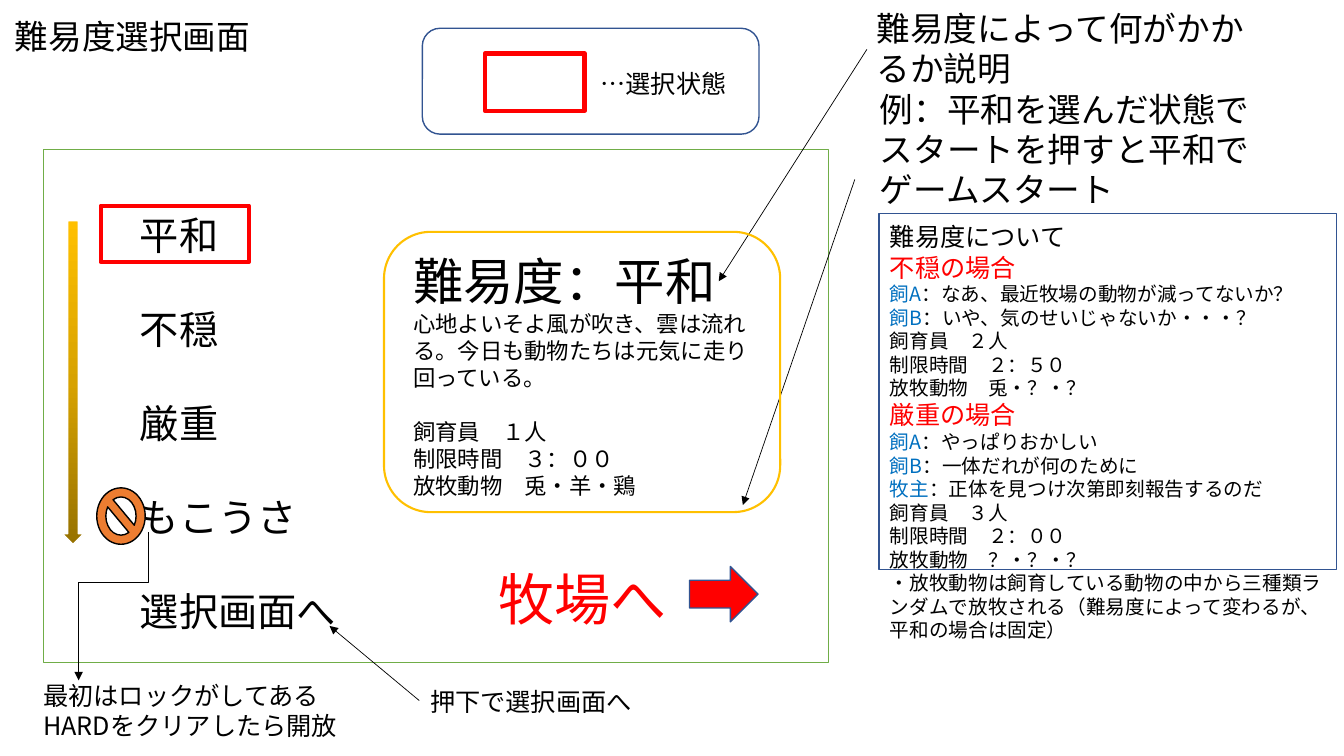
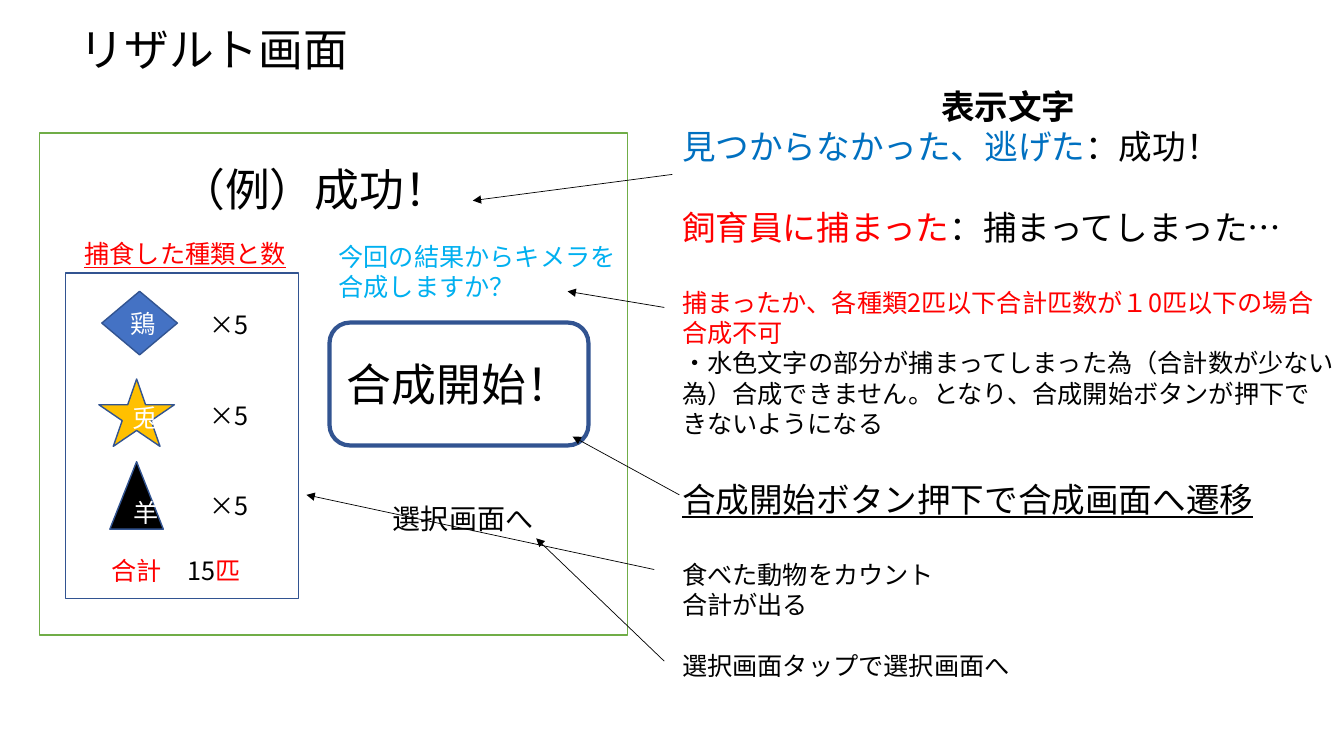
"""Build the difficulty selection and result screen slides of a game plan."""
from copy import deepcopy
from dataclasses import dataclass, field

from lxml.etree import SubElement
from pptx import Presentation
from pptx.dml.color import RGBColor
from pptx.enum.shapes import MSO_CONNECTOR, MSO_SHAPE
from pptx.enum.text import MSO_ANCHOR, MSO_AUTO_SIZE, PP_ALIGN
from pptx.oxml.ns import qn
from pptx.util import Pt

DIFFICULTY_RULES = [
    ("難易度について", dict(size="body")),
    ("不穏の場合", dict(size="body", color="red")),
    [("飼A", "blue"), ("：なあ、最近牧場の動物が減ってないか？", "black")],
    [("飼B", "blue"), ("：いや、気のせいじゃないか・・・？", "black")],
    "飼育員　２人",
    "制限時間　２：５０",
    "放牧動物　兎・？・？",
    ("厳重の場合", dict(size="body", color="red")),
    [("飼A", "blue"), ("：やっぱりおかしい", "black")],
    [("飼B", "blue"), ("：一体だれが何のために", "black")],
    [("牧主", "blue"), ("：正体を見つけ次第即刻報告するのだ", "black")],
    "飼育員　３人",
    "制限時間　２：００",
    "放牧動物　？・？・？",
    "・放牧動物は飼育している動物の中から三種類ランダムで放牧される（難易度によって変わるが、",
    "平和の場合は固定）",
]

PEACE_DETAIL = [
    ("難易度：平和", dict(size="hero")),
    "心地よいそよ風が吹き、雲は流れる。今日も動物たちは元気に走り回っている。",
    ("飼育員　１人", dict(gap=19.2)),
    "制限時間　３：００",
    "放牧動物　兎・羊・鶏",
]

RESULT_MESSAGES = [
    ("表示文字", dict(size="section", bold=True, align="center")),
    ([("見つからなかった、逃げた", "blue"), ("：成功！", "black")], dict(size="section")),
    ([("飼育員に捕まった", "red"), ("：捕まってしまった…", "black")],
     dict(size="section", gap=28.8)),
    ("捕まったか、各種類2匹以下合計匹数が１0匹以下の場合", dict(color="red", gap=28.8)),
    ("合成不可", dict(color="red")),
    "・水色文字の部分が捕まってしまった為（合計数が少ない為）合成できません。"
    "となり、合成開始ボタンが押下できないようになる",
    ("合成開始ボタン押下で合成画面へ遷移", dict(size="section", underline=True, gap=28.8)),
    ("食べた動物をカウント", dict(gap=28.8)),
    "合計が出る",
    ("選択画面タップで選択画面へ", dict(gap=21.6)),
]

MENU = ["平和", "不穏", "厳重", "もこうさ", "選択画面へ"]
LOCK_NOTE = ["最初はロックがしてある", "HARDをクリアしたら開放"]
COUNTS = ["×5"] * 3
TOTAL = [[("合計　", "red"), ("15", "black"), ("匹", "red")]]

DIFFICULTY_SCREEN = [
    ("text", (3.6, 7.9, 188, 36), dict(lines=["難易度選択画面"], size="section")),
    ("shape", (31, 106.6, 560.9, 366.5),
     dict(preset="FLOWCHART_PROCESS", fill="white", line="green")),
    ("text", (92.9, 147.6, 251.3, 312.5), dict(lines=MENU, size="menu", gap=33.6)),
    ("text", (288, 175, 266.4, 186.5), dict(lines=PEACE_DETAIL, size="detail")),
    ("text", (619.2, 2.2, 287.3, 65.5),
     dict(lines=["難易度によって何がかかるか説明"], size="section")),
    ("text", (621.4, 59.8, 287.3, 94.3),
     dict(lines=["例：平和を選んだ状態でスタートを押すと平和でゲームスタート"], size="section")),
    ("arrow", (610.6, 128.2, 530.6, 360.7), {}),
    ("arrow", (619.2, 35.3, 513.4, 200.9), {}),
    ("arrow", (28.1, 408.2, 133.9, 457.9), dict(bend=34000)),
    ("text", (23.8, 482.4, 242.6, 51.1), dict(lines=LOCK_NOTE)),
    ("shape", (69.1, 348.5, 34.6, 40.3),
     dict(preset="NO_SYMBOL", fill="orange", line="black")),
    ("shape", (72, 146.9, 105.8, 40.3), dict(preset="RECTANGLE", line="red", weight=3)),
    ("shape", (346.3, 38.2, 71.3, 41), dict(preset="RECTANGLE", line="red", weight=3)),
    ("text", (421.9, 45.4, 128.9, 28.8), dict(lines=["…選択状態"])),
    ("shape", (301.7, 20.2, 240.5, 75.6), dict(preset="ROUNDED_RECTANGLE", line="navy")),
    ("text", (349.2, 399.6, 188, 55.4), dict(lines=["牧場へ"], size="action", color="red")),
    ("shape", (492.5, 404.6, 49, 39.6), dict(preset="RIGHT_ARROW", fill="red", line="navy")),
    ("text", (628.6, 154.8, 328.3, 326.9), dict(lines=DIFFICULTY_RULES, size="small")),
    ("shape", (627.8, 152.6, 326.9, 254.2), dict(preset="RECTANGLE", line="navy")),
    ("shape", (274.3, 165.6, 283, 200.2),
     dict(preset="ROUNDED_RECTANGLE", line="gold", weight=1.5)),
    ("text", (300.2, 486.7, 162.7, 28.8), dict(lines=["押下で選択画面へ"])),
    ("arrow", (299.5, 500.4, 235.4, 447.1), {}),
    ("shape", (44.6, 157.7, 15.1, 231.1),
     dict(preset="DOWN_ARROW", fill=("bronze", "amber", "gold"), line="white")),
]

RESULT_SCREEN = [
    ("text", (49.7, 12.2, 275.8, 46.1), dict(lines=["リザルト画面"], size="title")),
    ("shape", (28.1, 95, 420.5, 358.6), dict(preset="RECTANGLE", line="green", weight=0.75)),
    ("shape", (46.8, 195.1, 166.3, 232.6),
     dict(preset="RECTANGLE", fill="white", line="navy")),
    ("shape", (70.6, 270.7, 54, 48.2),
     dict(preset="STAR_5_POINT", fill="gold", line="navy", lines=["兎"], color="white")),
    ("shape", (72.7, 208.1, 54, 45.4),
     dict(preset="DIAMOND", fill="royal", line="navy", lines=["鶏"], color="white")),
    ("shape", (78.5, 329.8, 38.2, 48.2),
     dict(preset="ISOSCELES_TRIANGLE", fill="black", line="navy", lines=["羊"],
          color="white")),
    ("text", (142.6, 217.4, 85, 159.8), dict(lines=COUNTS, gap=43.2)),
    ("text", (480.2, 57.6, 480.2, 436.3), dict(lines=RESULT_MESSAGES)),
    ("text", (257, 355, 147.6, 31.7),
     dict(lines=["選択画面へ"], size="link", align="center")),
    ("arrow", (474.5, 219.6, 405.4, 208.1), {}),
    ("arrow", (467.3, 406.8, 218.9, 353.5), {}),
    ("text", (121.7, 112.3, 216.7, 46.1), dict(lines=["（例）成功！"], size="title")),
    ("arrow", (480.2, 124.6, 337.7, 143.3), {}),
    ("text", (53.3, 167, 162.7, 28.8),
     dict(lines=["捕食した種類と数"], color="red", underline=True)),
    ("text", (234.7, 168.5, 229.7, 51.1),
     dict(lines=["今回の結果からキメラを合成しますか？"], color="sky")),
    ("shape", (235.4, 230.4, 185, 87.8),
     dict(preset="ROUNDED_RECTANGLE", fill="white", line="navy", weight=3,
          lines=["合成開始！"], size="title")),
    ("text", (72.7, 393.1, 138.2, 28.8), dict(lines=TOTAL)),
    ("arrow", (474.5, 472.3, 383, 384.5), {}),
    ("arrow", (485.3, 353.5, 409, 311.8), {}),
]


@dataclass(frozen=True)
class Theme:
    font: str = "Noto Sans CJK JP"
    leading: float = 1.2
    arrow_weight: float = 0.5
    sizes: dict = field(default_factory=lambda: dict(
        action=40, hero=36, title=32, menu=28, section=24, link=20, body=18,
        detail=16, small=14))
    colors: dict = field(default_factory=lambda: dict(
        black="000000", white="FFFFFF", red="FF0000", blue="0070C0", sky="00B0F0",
        navy="325491", royal="4472C4", green="70AD47", orange="ED7D31",
        gold="FFC000", amber="D7A200", bronze="977200"))

    def rgb(self, name):
        return RGBColor.from_string(self.colors[name])


THEME = Theme()


def write(frame, lines, **defaults):
    """Fill a text frame; each line may override the format given for all."""
    frame.word_wrap = True
    for index, line in enumerate(lines):
        runs, override = line if isinstance(line, tuple) else (line, {})
        look = dict(size="body", color="black", bold=False, underline=False,
                    align="left", gap=0) | defaults | override
        paragraph = frame.paragraphs[0] if index == 0 else frame.add_paragraph()
        paragraph.alignment = PP_ALIGN[look["align"].upper()]
        size = THEME.sizes[look["size"]]
        paragraph.line_spacing = Pt(size * THEME.leading)
        paragraph.space_before = Pt(look["gap"] if index else 0)
        for words, color in [(runs, look["color"])] if isinstance(runs, str) else runs:
            run = paragraph.add_run()
            run.text = words
            font = run.font
            font.name, font.size = THEME.font, Pt(size)
            font.bold, font.underline = look["bold"], look["underline"]
            font.color.rgb = THEME.rgb(color)
            SubElement(run._r.get_or_add_rPr(), qn("a:ea")).set("typeface", THEME.font)


def add_text(slide, box, lines, **look):
    frame = slide.shapes.add_textbox(*map(Pt, box)).text_frame
    write(frame, lines, **look)
    frame.auto_size = MSO_AUTO_SIZE.SHAPE_TO_FIT_TEXT


def paint_gradient(shape, names):
    """Spread the named colours evenly from the bottom to the top."""
    shape.fill.gradient()
    shape.fill.gradient_angle = 90
    stops = shape._element.spPr.find(".//" + qn("a:gsLst"))
    for _ in names[2:]:
        stops.insert(1, deepcopy(stops[0]))
    for index, (stop, name) in enumerate(zip(shape.fill.gradient_stops, names)):
        stop.position = index / (len(names) - 1)
        stop.color.rgb = THEME.rgb(name)


def add_shape(slide, box, preset, line, fill=None, weight=1, lines=(), **look):
    shape = slide.shapes.add_shape(MSO_SHAPE[preset], *map(Pt, box))
    shape.shadow.inherit = False
    if fill is None:
        shape.fill.background()
    elif isinstance(fill, tuple):
        paint_gradient(shape, fill)
    else:
        shape.fill.solid()
        shape.fill.fore_color.rgb = THEME.rgb(fill)
    shape.line.color.rgb = THEME.rgb(line)
    shape.line.width = Pt(weight)
    if lines:
        shape.text_frame.vertical_anchor = MSO_ANCHOR.MIDDLE
        write(shape.text_frame, lines, align="center", **look)


def add_arrow(slide, ends, bend=None):
    """Draw an arrow; a bend turns it into an elbow that leaves downwards."""
    kind = MSO_CONNECTOR.ELBOW if bend else MSO_CONNECTOR.STRAIGHT
    arrow = slide.shapes.add_connector(kind, *map(Pt, ends))
    arrow.line.color.rgb = THEME.rgb("black")
    arrow.line.width = Pt(THEME.arrow_weight)
    properties = arrow._element.spPr
    SubElement(arrow.line._get_or_add_ln(), qn("a:tailEnd")).set("type", "triangle")
    SubElement(properties, qn("a:effectLst"))
    if bend:
        properties.find(qn("a:xfrm")).set("rot", "5400000")
        guide = SubElement(properties.find(".//" + qn("a:avLst")), qn("a:gd"))
        guide.set("name", "adj1")
        guide.set("fmla", f"val {bend}")


DRAW = dict(text=add_text, shape=add_shape, arrow=add_arrow)

deck = Presentation()
deck.slide_width, deck.slide_height = Pt(960), Pt(540)
for screen in (DIFFICULTY_SCREEN, RESULT_SCREEN):
    slide = deck.slides.add_slide(deck.slide_layouts[6])
    for kind, place, options in screen:
        DRAW[kind](slide, place, **options)
deck.save("out.pptx")
